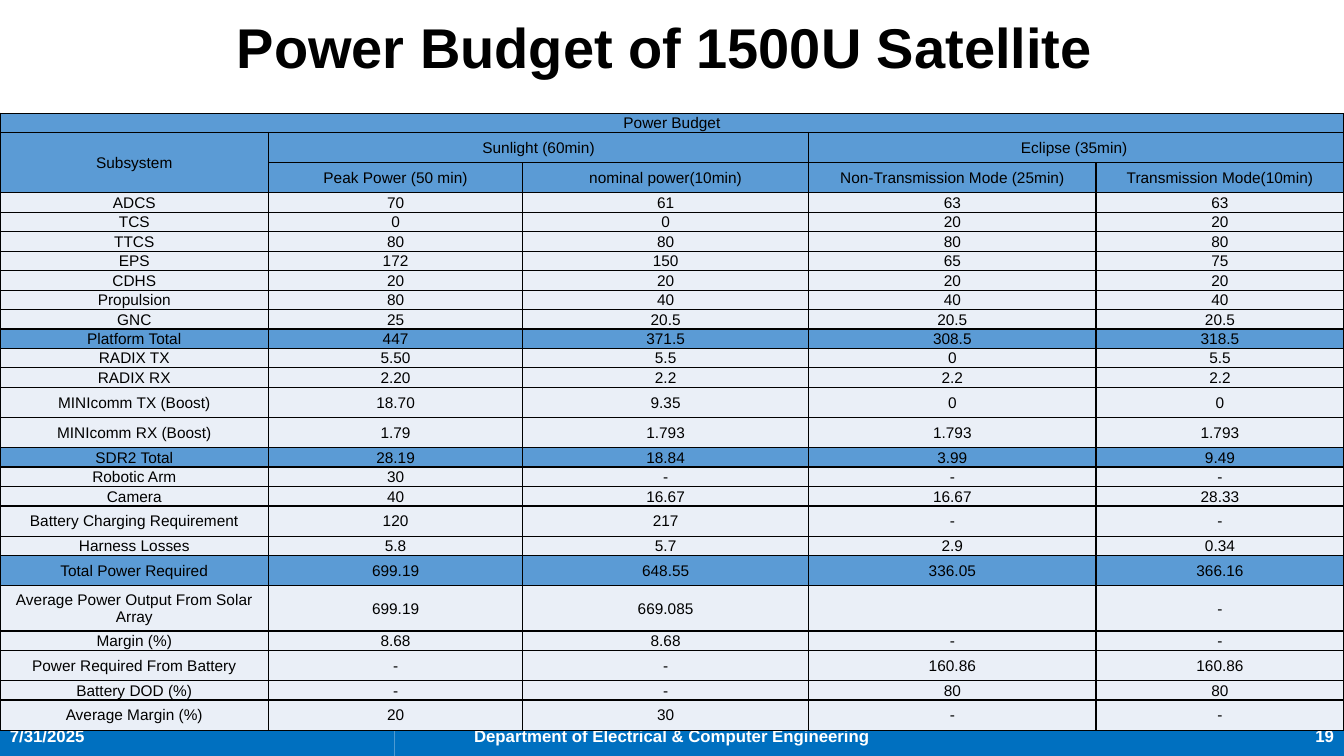
from lxml.etree import SubElement
from pptx import Presentation
from pptx.dml.color import RGBColor
from pptx.enum.shapes import MSO_SHAPE
from pptx.enum.text import MSO_ANCHOR, PP_ALIGN
from pptx.oxml.ns import qn
from pptx.util import Cm, Pt

COLORS = {
    "text": "000000",
    "band": "5B9BD5",
    "row": "EAEFF7",
    "footer": "0070C0",
    "footer_text": "FFFFFF",
}
FONT = "Arial"
TITLE = "Power Budget of 1500U Satellite "

FOOTER = [
    ("7/31/2025", 9.95, PP_ALIGN.LEFT),
    ("Department of Electrical & Computer Engineering", 13.97, PP_ALIGN.CENTER),
    ("19", 9.95, PP_ALIGN.RIGHT),
]

COL_WIDTHS = [6.77, 6.4, 7.21, 7.24, 6.25]
HEIGHTS = {"short": 0.49, "tall": 0.76, "double": 1.14}

ROWS = [
    ("short", "band", ["Power Budget", "", "", "", ""]),
    ("tall", "band", ["Subsystem", "Sunlight (60min)", "", "Eclipse (35min) ", ""]),
    ("tall", "band", ["", "Peak Power (50 min)", "nominal power(10min)",
                      "Non-Transmission Mode (25min)", "Transmission Mode(10min)"]),
    ("short", "row", ["ADCS", "70", "61", "63", "63"]),
    ("short", "row", ["TCS", "0", "0", "20", "20"]),
    ("short", "row", ["TTCS", "80", "80", "80", "80"]),
    ("short", "row", ["EPS", "172", "150", "65", "75"]),
    ("short", "row", ["CDHS", "20", "20", "20", "20"]),
    ("short", "row", ["Propulsion", "80", "40", "40", "40"]),
    ("short", "row", ["GNC", "25", "20.5", "20.5", "20.5"]),
    ("short", "band", ["Platform Total", "447", "371.5", "308.5", "318.5"]),
    ("short", "row", ["RADIX TX", "5.50", "5.5", "0", "5.5"]),
    ("short", "row", ["RADIX RX", "2.20", "2.2", "2.2", "2.2"]),
    ("tall", "row", ["MINIcomm TX (Boost)", "18.70", "9.35", "0", "0"]),
    ("tall", "row", ["MINIcomm RX (Boost)", "1.79", "1.793", "1.793", "1.793"]),
    ("short", "band", ["SDR2 Total", "28.19", "18.84", "3.99", "9.49"]),
    ("short", "row", ["Robotic Arm", "30", "-", "-", "-"]),
    ("short", "row", ["Camera", "40", "16.67", "16.67", "28.33"]),
    ("tall", "row", ["Battery Charging Requirement", "120", "217", "-", "-"]),
    ("short", "row", ["Harness Losses", "5.8", "5.7", "2.9", "0.34"]),
    ("tall", "band", ["Total Power Required", "699.19", "648.55", "336.05", "366.16"]),
    ("double", "row", ["Average Power Output From Solar Array", "699.19", "669.085", "", "-"]),
    ("short", "row", ["Margin (%)", "8.68", "8.68", "-", "-"]),
    ("tall", "row", ["Power Required From Battery", "-", "-", "160.86", "160.86"]),
    ("short", "row", ["Battery DOD (%)", "-", "-", "80", "80"]),
    ("tall", "row", ["Average Margin (%)", "20", "30", "-", "-"]),
]
MERGES = [((0, 0), (0, 4)), ((1, 0), (2, 0)), ((1, 1), (1, 2)), ((1, 3), (1, 4))]


def color(name):
    return RGBColor.from_string(COLORS[name])


def set_text(tf, text, size, name, align, bold=False):
    tf.text = text
    p = tf.paragraphs[0]
    p.alignment = align
    for r in p.runs:
        r.font.name = FONT
        r.font.size = Pt(size)
        r.font.bold = bold
        r.font.color.rgb = color(name)
    return p


def add_borders(cell):
    tcPr = cell._tc.get_or_add_tcPr()
    for side in ("a:lnL", "a:lnR", "a:lnT", "a:lnB"):
        ln = SubElement(tcPr, qn(side), w=str(Pt(1)))
        fill = SubElement(ln, qn("a:solidFill"))
        SubElement(fill, qn("a:srgbClr"), val=COLORS["text"])


def add_title(slide):
    sp = slide.shapes.title
    sp.left, sp.top, sp.width, sp.height = Cm(2.33), Cm(-0.58), Cm(29.21), Cm(3.68)
    sp.text_frame.vertical_anchor = MSO_ANCHOR.MIDDLE
    p = set_text(sp.text_frame, TITLE, 40, "text", PP_ALIGN.CENTER, True)
    p.line_spacing = 0.9


def add_footer(slide):
    left = 0
    for text, width, align in FOOTER:
        sp = slide.shapes.add_shape(
            MSO_SHAPE.RECTANGLE, Cm(left), Cm(18.03), Cm(width), Cm(1.02))
        sp.shadow.inherit = False
        sp.fill.solid()
        sp.fill.fore_color.rgb = color("footer")
        sp.line.fill.background()
        sp.text_frame.vertical_anchor = MSO_ANCHOR.MIDDLE
        set_text(sp.text_frame, text, 12, "footer_text", align, True)
        left += width


def add_budget(slide):
    heights = [HEIGHTS[size] for size, _, _ in ROWS]
    table = slide.shapes.add_table(
        len(ROWS), len(COL_WIDTHS), Cm(0), Cm(2.85),
        Cm(sum(COL_WIDTHS)), Cm(sum(heights))).table
    for col, width in zip(table.columns, COL_WIDTHS):
        col.width = Cm(width)
    for row, height, (_, fill, values) in zip(table.rows, heights, ROWS):
        row.height = Cm(height)
        for cell, value in zip(row.cells, values):
            cell.margin_left = cell.margin_right = cell.margin_top = Cm(0.02)
            cell.margin_bottom = Cm(0)
            cell.vertical_anchor = MSO_ANCHOR.MIDDLE
            add_borders(cell)
            cell.fill.solid()
            cell.fill.fore_color.rgb = color(fill)
            set_text(cell.text_frame, value, 11, "text", PP_ALIGN.CENTER)
    for first, last in MERGES:
        table.cell(*first).merge(table.cell(*last))


def main():
    prs = Presentation()
    prs.slide_width, prs.slide_height = Cm(33.87), Cm(19.05)
    slide = prs.slides.add_slide(prs.slide_layouts[5])
    add_title(slide)
    add_footer(slide)
    add_budget(slide)
    prs.save("out.pptx")


if __name__ == "__main__":
    main()
